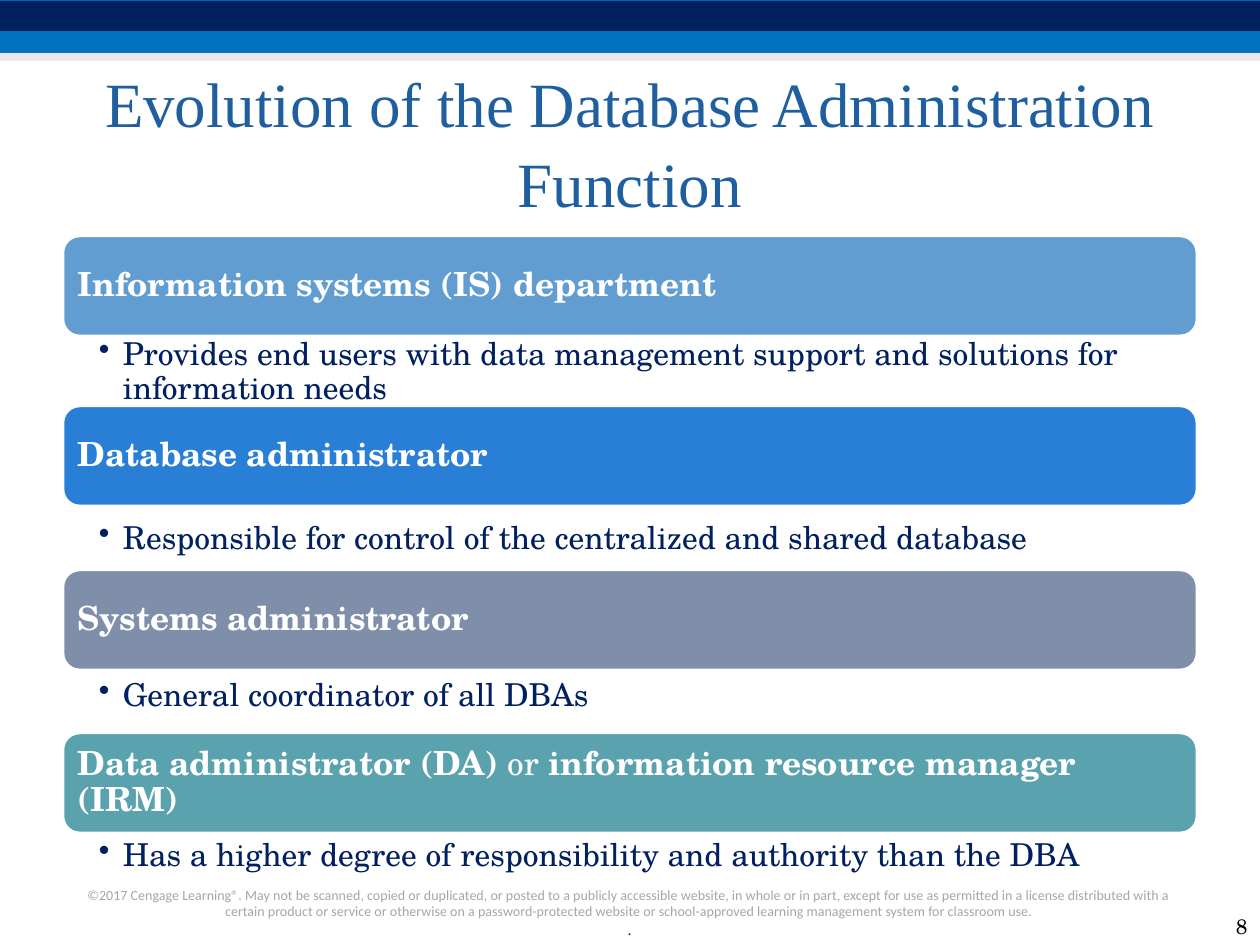
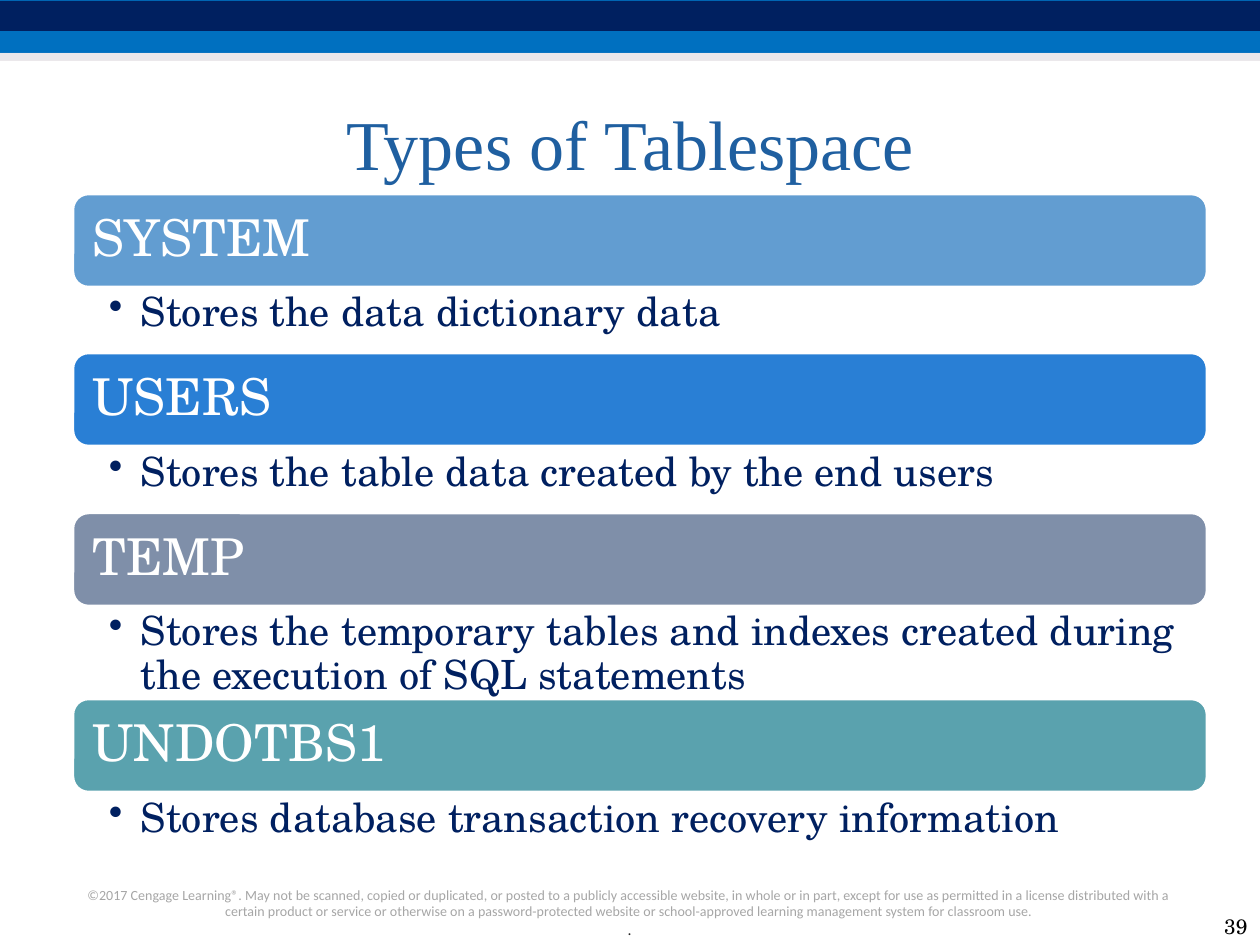
import pptx
import pptx.util
import pptx.dml.color
import pptx.enum.shapes
import pptx.enum.text
import pptx.oxml
import pptx.oxml.ns

PX = 914400 / 126
SHAPE = pptx.enum.shapes.MSO_SHAPE
ANCHOR = pptx.enum.text.MSO_ANCHOR
ALIGN = pptx.enum.text.PP_ALIGN
color = pptx.dml.color.RGBColor.from_string

# Shared look
SERIF, TITLE, SANS = "TeX Gyre Schola", "Times New Roman", "Calibri"
NAVY, WHITE = "002060", "FFFFFF"
BANDS = [(0, 53, "0070C0"), (1, 30, NAVY), (53, 8, "D8D3D9")]
FILLS = ["629DD1", "297FD5", "7F8FA9", "5AA2AE"]
LEGAL = (
    "©2017 Cengage Learning®. May not be scanned, copied or duplicated, "
    "or posted to a publicly accessible website, in whole or in part, "
    "except for use as permitted in a license distributed with a certain "
    "product or service or otherwise on a password-protected website or "
    "school-approved learning management system for classroom use."
)


def block(slide, kind, box, fill=None):
    """Add a preset shape, or a text box when kind is None."""
    sizes = [round(n * PX) for n in box]
    if kind is None:
        shape = slide.shapes.add_textbox(*sizes)
    else:
        shape = slide.shapes.add_shape(kind, *sizes)
        shape.shadow.inherit = False
        shape.fill.solid()
        shape.fill.fore_color.rgb = color(fill)
        shape.line.fill.background()
    shape.text_frame.word_wrap = True
    return shape


def write(shape, lines, font, align=ALIGN.LEFT, anchor=ANCHOR.TOP,
          inset=None, lead=None):
    """Fill a shape with lines, each a list of (text, size, colour, bold)."""
    frame = shape.text_frame
    frame.vertical_anchor = anchor
    if inset:
        (frame.margin_left, frame.margin_top, frame.margin_right,
         frame.margin_bottom) = [round(n * PX) for n in inset]
    for i, line in enumerate(lines):
        para = frame.add_paragraph() if i else frame.paragraphs[0]
        para.alignment = align
        if lead:
            para.line_spacing = lead
        for text, size, tint, bold in line:
            run = para.add_run()
            run.text = text
            run.font.name = font
            run.font.size = pptx.util.Pt(size)
            run.font.color.rgb = color(tint)
            run.font.bold = bold


# Each row: bar top, note top, bar runs (text, bold), note
PAGES = [
    dict(
        title="Evolution of the Database Administration Function",
        page="8", head=36, left=63, tall=100, big=19, small=18,
        pad=10, inset=(36, 4, 18, 4), hang=24,
        rows=[
            (236, 334, [("Information systems (IS) department", True)],
             "Provides end users with data management support and "
             "solutions for information needs"),
            (406, 518, [("Database administrator", True)],
             "Responsible for control of the centralized and shared database"),
            (570, 675, [("Systems administrator", True)],
             "General coordinator of all DBAs"),
            (733, 835, [("Data administrator (DA) ", True), ("or", False),
                        (" information resource manager (IRM)", True)],
             "Has a higher degree of responsibility and authority "
             "than the DBA"),
        ],
    ),
    dict(
        title="Types of Tablespace",
        page="39", head=40, left=73, tall=93, big=29, small=23,
        pad=15, inset=(36, 5, 29, 5), hang=32,
        rows=[
            (194, 287, [("SYSTEM", False)], "Stores the data dictionary data"),
            (353, 447, [("USERS", False)],
             "Stores the table data created by the end users"),
            (513, 606, [("TEMP", False)],
             "Stores the temporary tables and indexes created during "
             "the execution of SQL statements"),
            (699, 793, [("UNDOTBS1", False)],
             "Stores database transaction recovery information"),
        ],
    ),
]

deck = pptx.Presentation()
deck.slide_width = pptx.util.Inches(10)
deck.slide_height = pptx.util.Inches(7.5)

for page in PAGES:
    slide = deck.slides.add_slide(deck.slide_layouts[6])

    # Top bands, the last one half clear
    for top, tall, fill in BANDS:
        band = block(slide, SHAPE.RECTANGLE, (0, top, 1260, tall), fill)
    tint = band.fill._xPr.find(".//" + pptx.oxml.ns.qn("a:srgbClr"))
    tint.append(pptx.oxml.parse_xml(
        f'<a:alpha {pptx.oxml.ns.nsdecls("a")} val="50000"/>'))

    # Legal footer
    foot = block(slide, None, (73, 880, 1113, 65))
    write(foot, [[(LEGAL, 8, "A6A6A6", False)], [(".", 9, "262626", False)]],
          SANS, ALIGN.CENTER)

    # Title
    title = block(slide, None, (63, 63, 1134, 147))
    write(title, [[(page["title"], page["head"], "1F5FA0", False)]],
          TITLE, ALIGN.CENTER, ANCHOR.MIDDLE, (13, 8, 13, 0), 1.05)

    # Bars, each with its bulleted note
    for fill, (top, low, runs, note) in zip(FILLS, page["rows"]):
        bar = block(slide, SHAPE.ROUNDED_RECTANGLE,
                    (page["left"], top, 1134, page["tall"]), fill)
        bar.line.color.rgb = color(WHITE)
        bar.line.width = pptx.util.Pt(1.5)
        write(bar, [[(text, page["big"], WHITE, bold) for text, bold in runs]],
              SERIF, anchor=ANCHOR.MIDDLE, inset=[page["pad"]] * 4, lead=0.9)

        text = block(slide, None, (page["left"], low, 1134, 68))
        write(text, [[(note, page["small"], NAVY, False)]], SERIF,
              inset=page["inset"], lead=0.9)
        props = text.text_frame.paragraphs[0]._p.get_or_add_pPr()
        hang = round(page["hang"] * PX)
        props.set("marL", str(hang))
        props.set("indent", str(-hang))
        props.append(pptx.oxml.parse_xml(
            f'<a:buChar {pptx.oxml.ns.nsdecls("a")} char="•"/>'))

    # Page number
    num = block(slide, None, (1197, 903, 63, 42))
    write(num, [[(page["page"], 12, "000000", False)]], SERIF,
          ALIGN.RIGHT, ANCHOR.BOTTOM)

deck.save("out.pptx")
